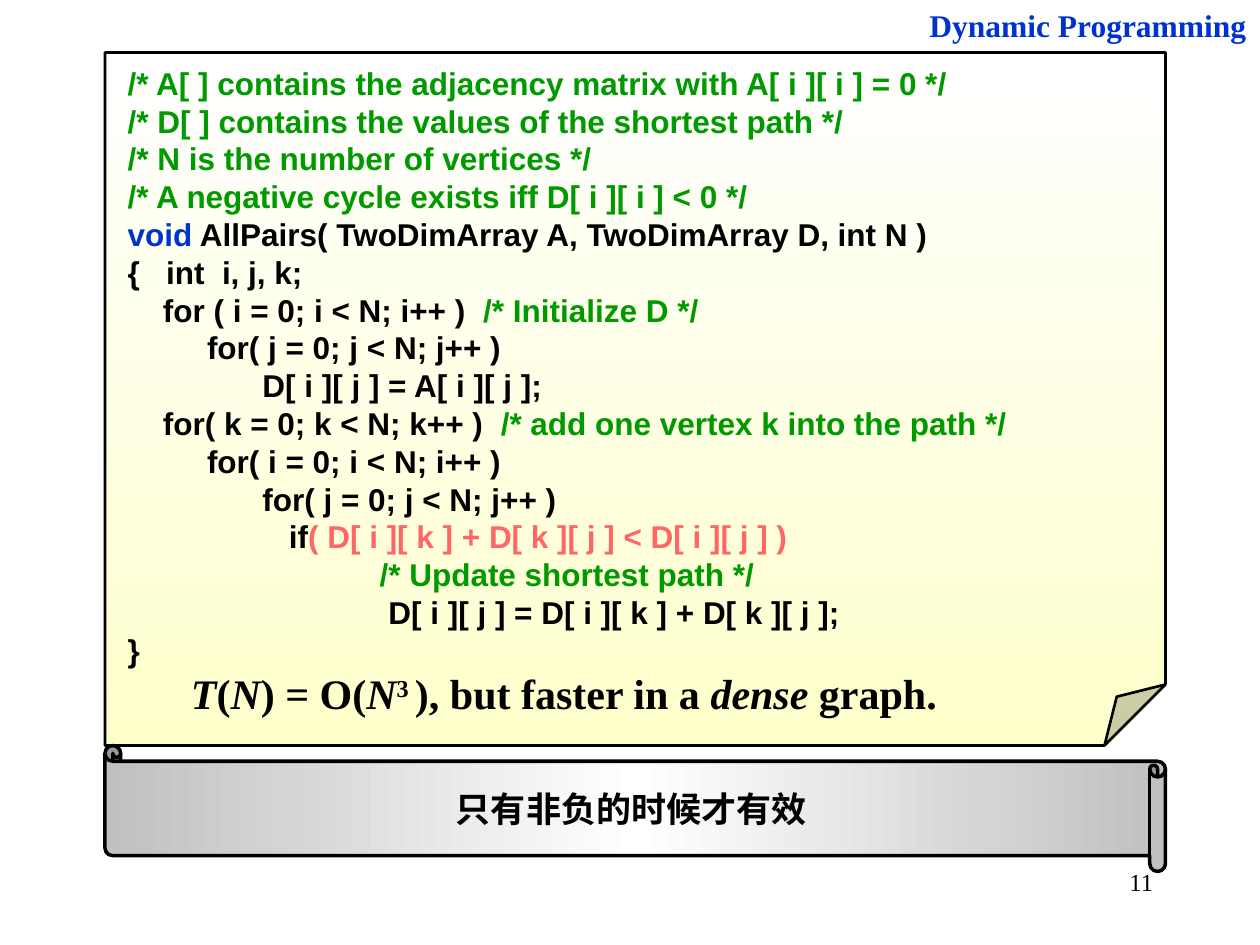
from dataclasses import dataclass

from lxml import etree
from pptx import Presentation
from pptx.dml.color import RGBColor
from pptx.enum.shapes import MSO_SHAPE
from pptx.enum.text import MSO_ANCHOR, PP_ALIGN
from pptx.oxml.ns import qn
from pptx.util import Inches, Pt

FOLDED, SCROLL = MSO_SHAPE.FOLDED_CORNER, MSO_SHAPE.HORIZONTAL_SCROLL
LEFT, CENTER, RIGHT = PP_ALIGN.LEFT, PP_ALIGN.CENTER, PP_ALIGN.RIGHT
TOP, MIDDLE = MSO_ANCHOR.TOP, MSO_ANCHOR.MIDDLE


@dataclass(frozen=True)
class Theme:
    """Colours, fonts and type sizes of the slide."""
    ink: str = "000000"
    comment: str = "009900"
    keyword: str = "0033CC"
    test: str = "FF6666"
    paper: tuple = ("FFFFFF", "FFFFCC")
    scroll: tuple = ("C0C0C0", "FFFFFF", "C0C0C0")
    sans: str = "Arial"
    serif: str = "Times New Roman"
    number: int = 14
    code: int = 18
    banner: int = 20
    formula: int = 24


T = Theme()

CODE = [
    (0, [("/* A[ ] contains the adjacency matrix with A[ i ][ i ] = 0 */", T.comment)]),
    (0, [("/* D[ ] contains the values of the shortest path */", T.comment)]),
    (0, [("/* N is the number of vertices */", T.comment)]),
    (0, [("/* A negative cycle exists iff D[ i ][ i ] < 0 */", T.comment)]),
    (0, [("void", T.keyword), (" AllPairs( TwoDimArray A, TwoDimArray D, int N )", T.ink)]),
    (0, [("{   int  i, j, k;", T.ink)]),
    (0.28, [("for ( i = 0; i < N; i++ )  ", T.ink), ("/* Initialize D */", T.comment)]),
    (0.63, [("for( j = 0; j < N; j++ )", T.ink)]),
    (1.07, [("D[ i ][ j ] = A[ i ][ j ];", T.ink)]),
    (0.28, [("for( k = 0; k < N; k++ )  ", T.ink),
            ("/* add one vertex k into the path */", T.comment)]),
    (0.63, [("for( i = 0; i < N; i++ )", T.ink)]),
    (1.07, [("for( j = 0; j < N; j++ )", T.ink)]),
    (1.28, [("if", T.ink), ("( D[ i ][ k ] + D[ k ][ j ] < D[ i ][ j ] )", T.test)]),
    (2, [("/* Update shortest path */", T.comment)]),
    (2.07, [("D[ i ][ j ] = D[ i ][ k ] + D[ k ][ j ];", T.ink)]),
    (0, [("}", T.ink)]),
]

FORMULA = [("T", "i"), ("(", ""), ("N", "i"), (") = O(", ""), ("N", "i"), ("3 ", "sup"),
           ("), but faster in a ", ""), ("dense", "i"), (" graph.", "")]


def add_run(p, text, color=T.ink, **fmt):
    """Add a run with the given colour and font values."""
    r = p.add_run()
    r.text = text
    r.font.color.rgb = RGBColor.from_string(color)
    for name, value in fmt.items():
        setattr(r.font, name, value)
    return r


def set_frame(s, align=LEFT, anchor=TOP, left=0.1, top=0.05):
    """Prepare a text frame and return its first paragraph."""
    tf = s.text_frame
    fmt = dict(word_wrap=True, vertical_anchor=anchor, margin_left=Inches(left),
               margin_top=Inches(top), margin_right=Inches(0.1), margin_bottom=Inches(0.05))
    for name, value in fmt.items():
        setattr(tf, name, value)
    tf.paragraphs[0].alignment = align
    return tf.paragraphs[0]


def refill(parent, tag):
    """Empty the list with this tag and return it."""
    items = parent.find(".//" + qn(tag))
    for item in list(items):
        items.remove(item)
    return items


def add_panel(slide, box, kind, adj, colors, angle, width):
    """Add an outlined preset shape filled with evenly spaced gradient stops."""
    s = slide.shapes.add_shape(kind, *box)
    s.shadow.inherit = False
    s.fill.gradient()
    s.fill.gradient_angle = angle
    spPr = s._element.spPr
    guides = refill(spPr, "a:avLst")
    etree.SubElement(guides, qn("a:gd"), name="adj", fmla=f"val {round(adj * 100000)}")
    stops = refill(spPr, "a:gsLst")
    for i, color in enumerate(colors):
        gs = etree.SubElement(stops, qn("a:gs"), pos=str(i * 100000 // (len(colors) - 1)))
        etree.SubElement(gs, qn("a:srgbClr"), val=color)
    s.line.color.rgb = RGBColor.from_string(T.ink)
    s.line.width = Pt(width)
    return s


def add_label(slide, box, text, color, size, bold):
    """Add a right-aligned serif label."""
    p = set_frame(slide.shapes.add_textbox(*box), RIGHT)
    add_run(p, text, color, name=T.serif, size=Pt(size), bold=bold)


def add_code(slide, box):
    """Add the folded sheet with the indented listing."""
    s = add_panel(slide, box, FOLDED, 0.088, T.paper, 270, 1.5)
    p = set_frame(s, left=0.18, top=0.09)
    for i, (indent, parts) in enumerate(CODE):
        if i:
            p = s.text_frame.add_paragraph()
            p.alignment = LEFT
        p._p.get_or_add_pPr().set("marL", str(Inches(indent)))
        for text, color in parts:
            add_run(p, text, color, name=T.sans, size=Pt(T.code), bold=True)


def add_formula(slide, box):
    """Add the running-time statement."""
    p = set_frame(slide.shapes.add_textbox(*box))
    for text, style in FORMULA:
        r = add_run(p, text, name=T.serif, size=Pt(T.formula), bold=True, italic=style == "i")
        if style == "sup":
            r._r.get_or_add_rPr().set("baseline", "30000")


def add_banner(slide, box):
    """Add the mirrored scroll with its centred remark."""
    s = add_panel(slide, box, SCROLL, 0.125, T.scroll, 0, 2)
    s._element.spPr.find(qn("a:xfrm")).set("flipH", "1")
    p = set_frame(s, CENTER, MIDDLE)
    add_run(p, "只有非负的时候才有效", name=T.serif, size=Pt(T.banner), bold=True)


def main():
    """Build and save the slide."""
    prs = Presentation()
    prs.slide_width, prs.slide_height = Inches(10), Inches(7.5)
    slide = prs.slides.add_slide(prs.slide_layouts[6])

    def area(x, y, w, h):
        """Turn percentages of the slide size into a box."""
        return [int(v * side / 100) for v, side in
                zip((x, y, w, h), (prs.slide_width, prs.slide_height) * 2)]

    add_label(slide, area(71.7, 91.1, 20.8, 6.67), "11", T.ink, T.number, False)
    add_code(slide, area(8.33, 5.56, 84.17, 73.33))
    add_formula(slide, area(14.17, 70, 70, 6.67))
    add_banner(slide, area(8.33, 78.89, 84.17, 13.33))
    add_label(slide, area(65, 0, 34.9, 5.33), "Dynamic Programming", T.keyword, T.code, True)
    prs.save("out.pptx")


main()
